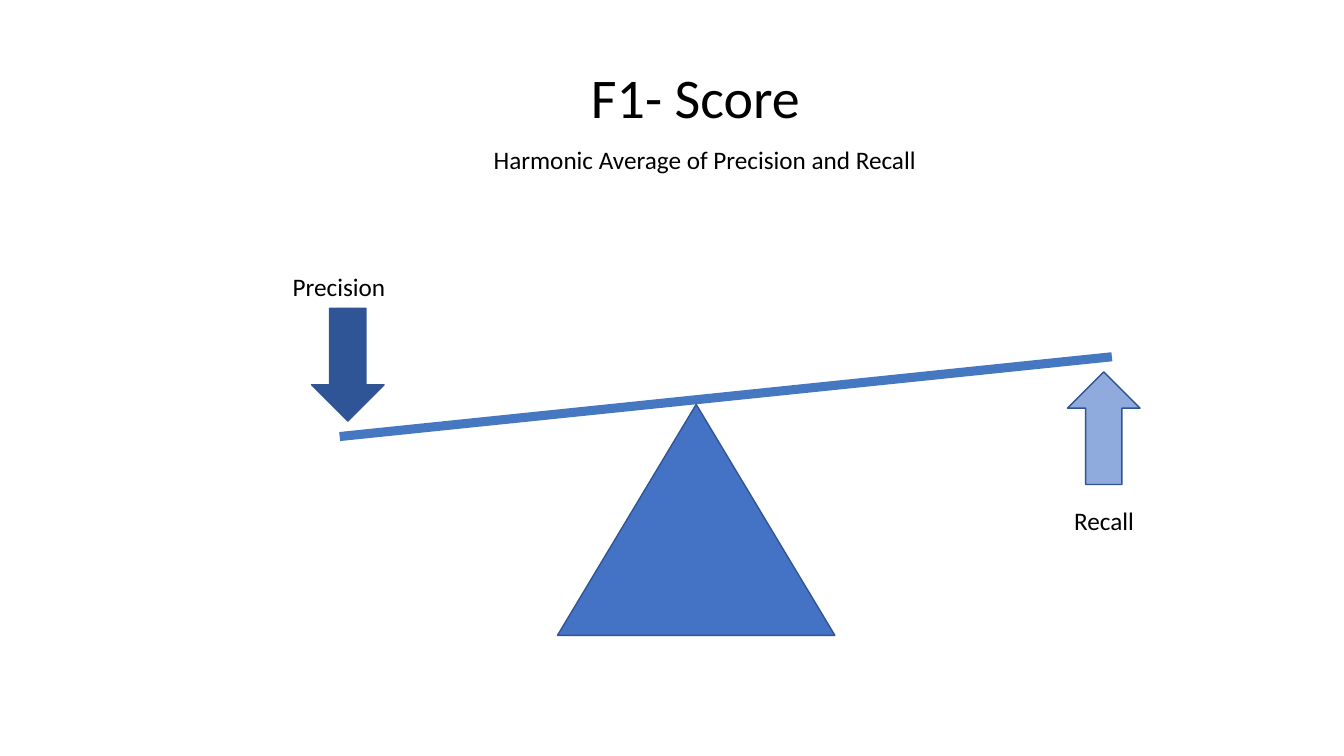
import dataclasses

import pptx
import pptx.dml.color
import pptx.enum.shapes
import pptx.enum.text
import pptx.oxml.ns
import pptx.util
from lxml import etree

Cm = pptx.util.Cm
SHAPES = pptx.enum.shapes.MSO_SHAPE
ALIGN = pptx.enum.text.PP_ALIGN


@dataclasses.dataclass(frozen=True)
class Theme:
    font: str = "Calibri"
    title_size: float = 40
    body_size: float = 18
    outline_width: float = 1
    beam_width: float = 6.5
    text: str = "000000"
    outline: str = "325491"
    beam: str = "4678C2"
    pivot: str = "4472C4"
    falling: str = "2F5597"
    rising: str = "8FAADC"


def rgb(value):
    return pptx.dml.color.RGBColor.from_string(value)


class SlideBuilder:
    def __init__(self, slide, theme):
        self.slide = slide
        self.theme = theme

    def text(self, wording, left, top, width, height, size, align=ALIGN.CENTER):
        box = self.slide.shapes.add_textbox(Cm(left), Cm(top), Cm(width), Cm(height))
        frame = box.text_frame
        frame.word_wrap = True
        frame.auto_size = pptx.enum.text.MSO_AUTO_SIZE.SHAPE_TO_FIT_TEXT
        para = frame.paragraphs[0]
        para.alignment = align
        span = para.add_run()
        span.text = wording
        span.font.color.rgb = rgb(self.theme.text)
        formats = {"name": self.theme.font, "size": pptx.util.Pt(size)}
        for name, value in formats.items():
            setattr(span.font, name, value)

    def shape(self, kind, left, top, width, height, fill, rotation=0):
        shape = self.slide.shapes.add_shape(kind, Cm(left), Cm(top), Cm(width), Cm(height))
        shape.rotation = rotation
        shape.shadow.inherit = False
        shape.fill.solid()
        shape.fill.fore_color.rgb = rgb(fill)
        self.stroke(shape.line, self.theme.outline, self.theme.outline_width)

    def line(self, x1, y1, x2, y2, color, width):
        straight = pptx.enum.shapes.MSO_CONNECTOR.STRAIGHT
        line = self.slide.shapes.add_connector(straight, Cm(x1), Cm(y1), Cm(x2), Cm(y2))
        self.stroke(line.line, color, width)
        etree.SubElement(line._element.spPr, pptx.oxml.ns.qn("a:effectLst"))

    def stroke(self, line, color, width):
        line.color.rgb = rgb(color)
        line.width = pptx.util.Pt(width)


def main():
    deck = pptx.Presentation()
    deck.slide_width, deck.slide_height = Cm(33.87), Cm(19.05)
    theme = Theme()
    page = SlideBuilder(deck.slides.add_slide(deck.slide_layouts[6]), theme)

    # Title
    page.text("F1- Score", 10.16, 1.45, 14.73, 1.96, theme.title_size)

    # Seesaw beam
    page.line(8.56, 11, 28.02, 8.99, theme.beam, theme.beam_width)

    # Labelled arrows at both ends of the beam
    ends = [
        ("Precision", 5.74, 6.71, 7.85, 7.77, theme.falling, 0),
        ("Recall", 25.02, 12.6, 26.9, 9.37, theme.rising, 180),
    ]
    for label, label_left, label_top, left, top, fill, rotation in ends:
        page.shape(SHAPES.DOWN_ARROW, left, top, 1.83, 2.84, fill, rotation)
        page.text(label, label_left, label_top, 5.61, 1.02, theme.body_size)

    # Pivot
    page.shape(SHAPES.ISOSCELES_TRIANGLE, 14.05, 10.19, 6.99, 5.82, theme.pivot)

    # Subtitle
    page.text("Harmonic Average of Precision and Recall",
              12.19, 3.51, 13.23, 1.02, theme.body_size, ALIGN.LEFT)

    deck.save("out.pptx")


if __name__ == "__main__":
    main()
